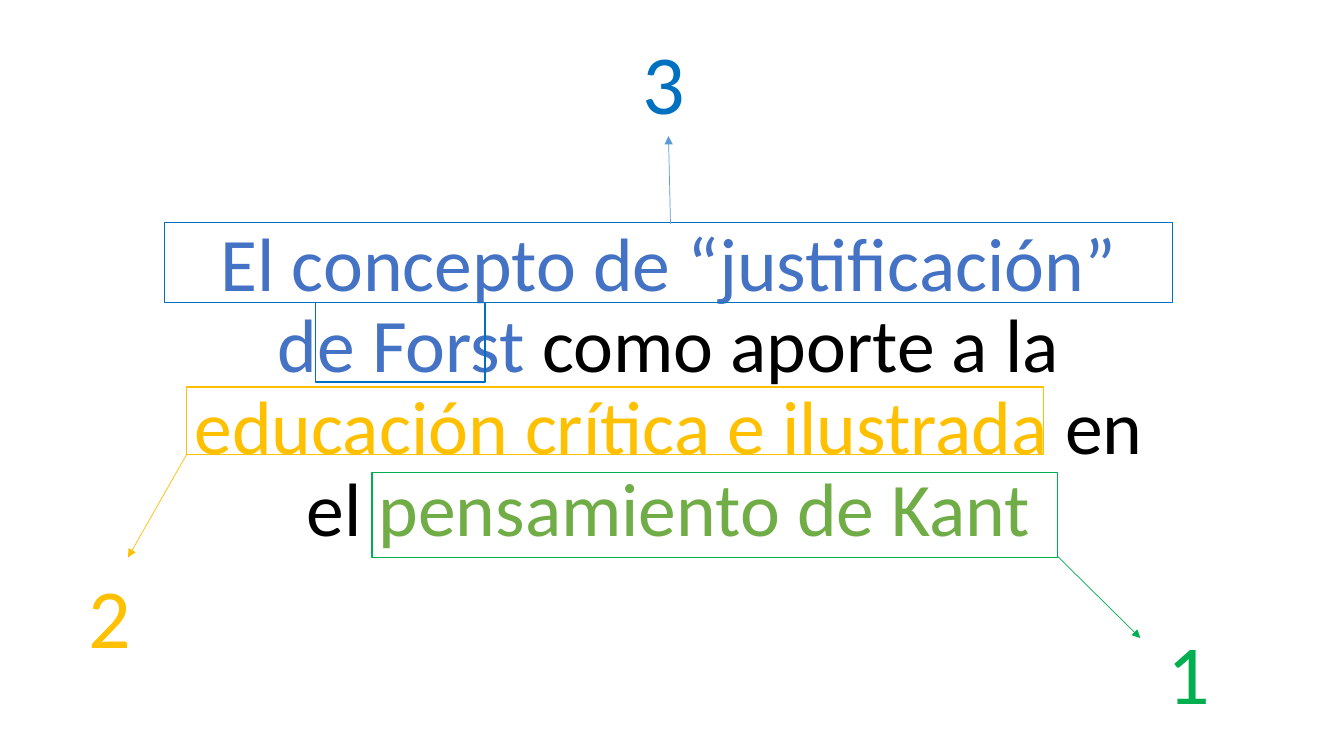
from dataclasses import dataclass

from pptx import Presentation
from pptx.dml.color import RGBColor
from pptx.enum.shapes import MSO_CONNECTOR, MSO_SHAPE
from pptx.enum.text import MSO_ANCHOR, MSO_AUTO_SIZE, PP_ALIGN
from pptx.oxml.ns import qn
from pptx.util import Pt
from lxml.etree import SubElement

EMU_PER_PX = 9144


@dataclass(frozen=True)
class Theme:
    font: str = "Calibri"
    title_size: int = 54
    number_size: int = 60
    frame_width: float = 1
    arrow_width: float = 0.5
    black: str = "000000"
    title_blue: str = "4472C4"
    title_green: str = "70AD47"
    gold: str = "FFC000"
    blue: str = "0070C0"
    light_blue: str = "5B9BD5"
    green: str = "00B050"


THEME = Theme()

TITLE_RUNS = [
    ("El concepto de “justificación” de Forst ", THEME.title_blue),
    ("como aporte a la ", THEME.black),
    ("educación crítica e ilustrada ", THEME.gold),
    ("en el ", THEME.black),
    ("pensamiento de Kant", THEME.title_green),
]

FRAMES = [
    ((369, 469, 680, 84), THEME.green),
    ((185, 384, 850, 67), THEME.gold),
    ((163, 221, 1000, 79), THEME.blue),
    ((313, 300, 168, 79), THEME.blue),
]

ARROWS = [
    ((1049, 552, 1131, 633), THEME.green),
    ((665, 222, 663, 135), THEME.light_blue),
    ((185, 451, 127, 553), THEME.gold),
]

NUMBERS = [
    ("3", (592, 25, 132, 111), THEME.blue),
    ("1", (1113, 611, 132, 111), THEME.green),
    ("2", (43, 555, 132, 111), THEME.gold),
]


def emu(lengths):
    return [length * EMU_PER_PX for length in lengths]


def set_attributes(target, values):
    for name, value in values.items():
        setattr(target, name, value)


def add_run(paragraph, text, size, color):
    run = paragraph.add_run()
    run.text = text
    set_attributes(run.font, {"name": THEME.font, "size": Pt(size), "bold": False})
    run.font.color.rgb = RGBColor.from_string(color)


def style_line(line, color, width):
    line.color.rgb = RGBColor.from_string(color)
    line.width = Pt(width)


def fill_title(title):
    left, top, width, height = emu((163, 197, 1000, 356))
    set_attributes(title, {"left": left, "top": top, "width": width, "height": height})
    set_attributes(title.text_frame, {
        "word_wrap": True,
        "auto_size": MSO_AUTO_SIZE.NONE,
        "vertical_anchor": MSO_ANCHOR.BOTTOM,
    })
    paragraph = title.text_frame.paragraphs[0]
    set_attributes(paragraph, {"alignment": PP_ALIGN.CENTER, "line_spacing": 0.9})
    for text, color in TITLE_RUNS:
        add_run(paragraph, text, THEME.title_size, color)


def add_frame(slide, box, color):
    shape = slide.shapes.add_shape(MSO_SHAPE.RECTANGLE, *emu(box))
    shape.shadow.inherit = False
    shape.fill.background()
    style_line(shape.line, color, THEME.frame_width)


def add_arrow(slide, ends, color):
    arrow = slide.shapes.add_connector(MSO_CONNECTOR.STRAIGHT, *emu(ends))
    style_line(arrow.line, color, THEME.arrow_width)
    properties = arrow._element.spPr
    SubElement(properties.find(qn("a:ln")), qn("a:tailEnd"), type="triangle")
    SubElement(properties, qn("a:effectLst"))


def add_number(slide, text, box, color):
    shape = slide.shapes.add_textbox(*emu(box))
    set_attributes(shape.text_frame, {
        "word_wrap": True,
        "auto_size": MSO_AUTO_SIZE.SHAPE_TO_FIT_TEXT,
    })
    paragraph = shape.text_frame.paragraphs[0]
    paragraph.alignment = PP_ALIGN.CENTER
    add_run(paragraph, text, THEME.number_size, color)


def main():
    presentation = Presentation()
    width, height = emu((1333, 750))
    set_attributes(presentation, {"slide_width": width, "slide_height": height})
    title_only = presentation.slide_layouts.get_by_name("Title Only")
    slide = presentation.slides.add_slide(title_only)
    fill_title(slide.shapes.title)
    for box, color in FRAMES:
        add_frame(slide, box, color)
    for ends, color in ARROWS:
        add_arrow(slide, ends, color)
    for text, box, color in NUMBERS:
        add_number(slide, text, box, color)
    presentation.save("out.pptx")


if __name__ == "__main__":
    main()
